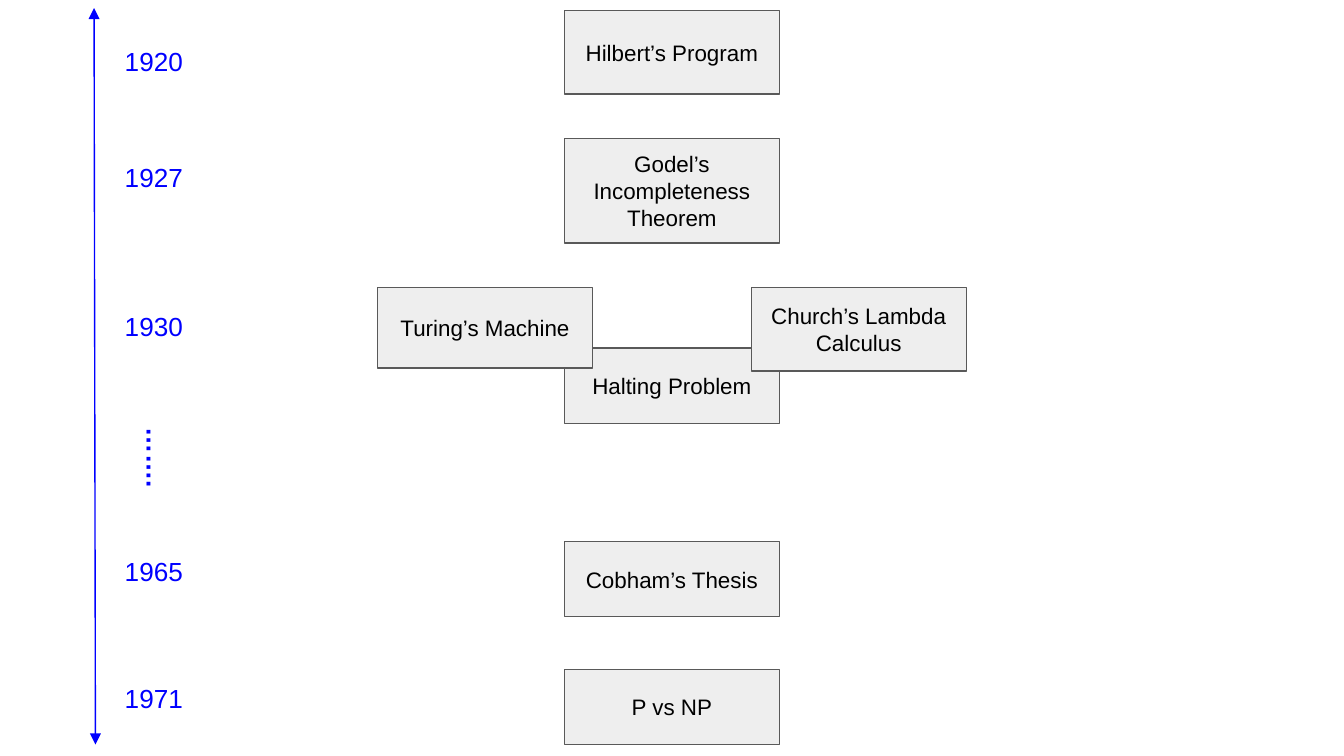
from lxml import etree
from pptx import Presentation
from pptx.dml.color import RGBColor
from pptx.enum import shapes, text
from pptx.oxml import ns
from pptx.util import Inches, Pt

BLUE = RGBColor(0x00, 0x00, 0xFF)
BLACK = RGBColor(0x00, 0x00, 0x00)
LIGHT_GRAY = RGBColor(0xEE, 0xEE, 0xEE)
DARK_GRAY = RGBColor(0x59, 0x59, 0x59)

BOX_FONT = {"name": "Arial", "size": Pt(12)}
YEAR_FONT = {"name": "Arial", "size": Pt(14)}
DOTS_FONT = {**YEAR_FONT, "bold": True}


def write(sp, words, font, color, align, anchor):
    tf = sp.text_frame
    frame = {"word_wrap": True, "vertical_anchor": anchor}
    for side in ("left", "top", "right", "bottom"):
        frame[f"margin_{side}"] = Inches(0.1)
    for name, value in frame.items():
        setattr(tf, name, value)
    p = tf.paragraphs[0]
    p.alignment = align
    r = p.add_run()
    r.text = words
    for name, value in font.items():
        setattr(r.font, name, value)
    r.font.color.rgb = color


prs = Presentation()
prs.slide_width = Inches(10)
prs.slide_height = Inches(10) * 9 // 16
s = prs.slides.add_slide(prs.slide_layouts[6])

milestones = [
    ("Hilbert’s Program", 4.2, 0.08, 0.62),
    ("Godel’s Incompleteness Theorem", 4.2, 1.03, 0.78),
    ("Halting Problem", 4.2, 2.59, 0.56),
    ("Cobham’s Thesis", 4.2, 4.03, 0.56),
    ("P vs NP", 4.2, 4.98, 0.56),
    ("Turing’s Machine", 2.81, 2.14, 0.6),
    ("Church’s Lambda Calculus", 5.59, 2.14, 0.62),
]
for words, left, top, height in milestones:
    sp = s.shapes.add_shape(shapes.MSO_SHAPE.RECTANGLE, Inches(left), Inches(top),
                            Inches(1.6), Inches(height))
    sp.shadow.inherit = False
    sp.fill.solid()
    sp.fill.fore_color.rgb = LIGHT_GRAY
    sp.line.color.rgb = DARK_GRAY
    sp.line.width = Pt(0.75)
    write(sp, words, BOX_FONT, BLACK, text.PP_ALIGN.CENTER, text.MSO_ANCHOR.MIDDLE)

axis = s.shapes.add_connector(shapes.MSO_CONNECTOR.STRAIGHT, Inches(0.7), Inches(0.06),
                              Inches(0.71), Inches(5.54))
axis.line.color.rgb = BLUE
axis.line.width = Pt(0.75)
ln = axis.line._get_or_add_ln()
for end in ("a:headEnd", "a:tailEnd"):
    etree.SubElement(ln, ns.qn(end), type="triangle")
etree.SubElement(axis._element.spPr, ns.qn("a:effectLst"))

labels = [
    ("1920", 0.83, 0.24, 0.96, 0, YEAR_FONT),
    ("1927", 0.83, 1.1, 0.96, 0, YEAR_FONT),
    ("1930", 0.83, 2.21, 0.96, 0, YEAR_FONT),
    ("1965", 0.83, 4.03, 0.96, 0, YEAR_FONT),
    ("1971", 0.83, 4.98, 0.96, 0, YEAR_FONT),
    ("…….", 0.77, 3.25, 0.78, 90, DOTS_FONT),
]
for words, left, top, width, rotation, font in labels:
    sp = s.shapes.add_textbox(Inches(left), Inches(top), Inches(width), Inches(0.45))
    sp.rotation = rotation
    write(sp, words, font, BLUE, text.PP_ALIGN.LEFT, text.MSO_ANCHOR.TOP)

prs.save("out.pptx")
